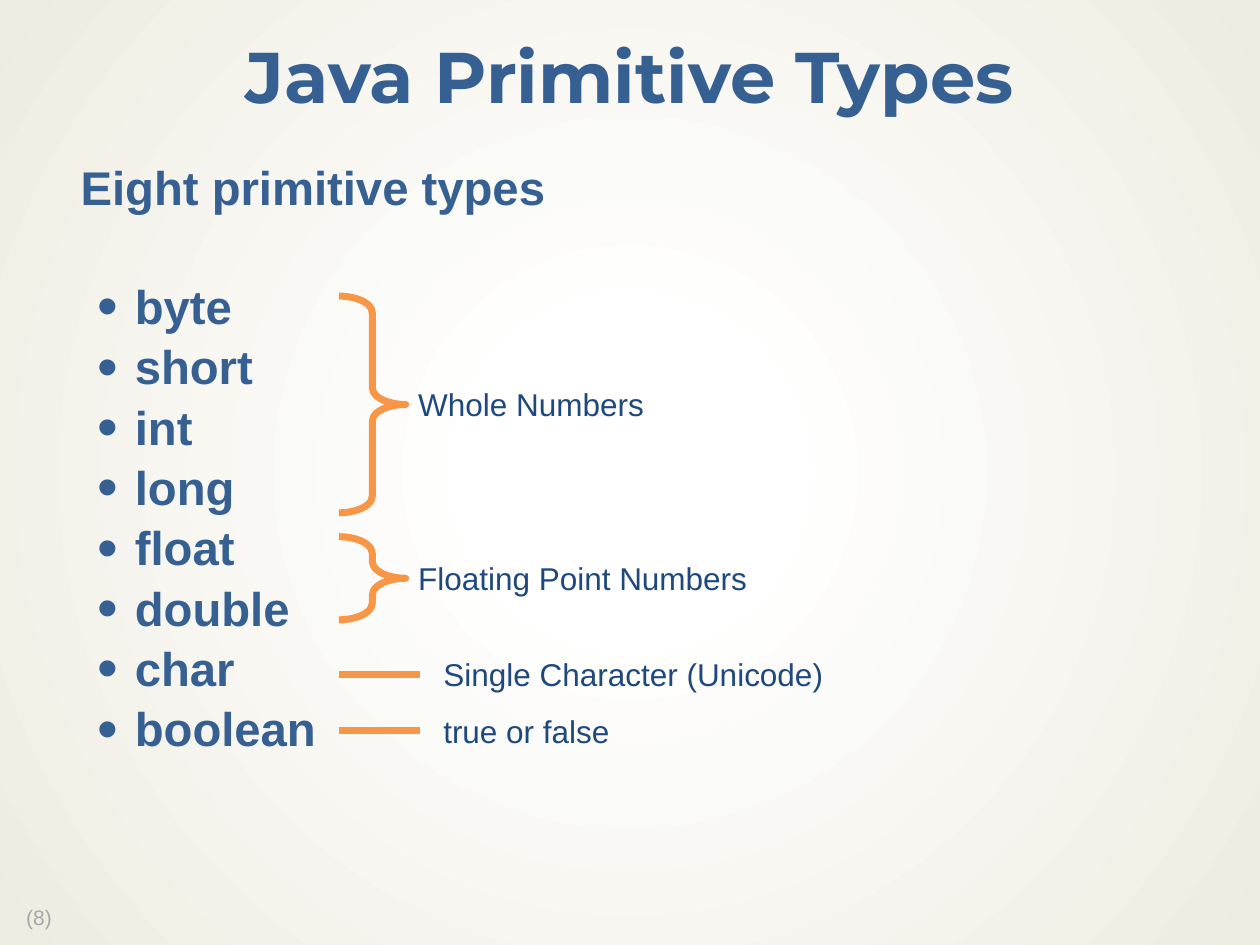
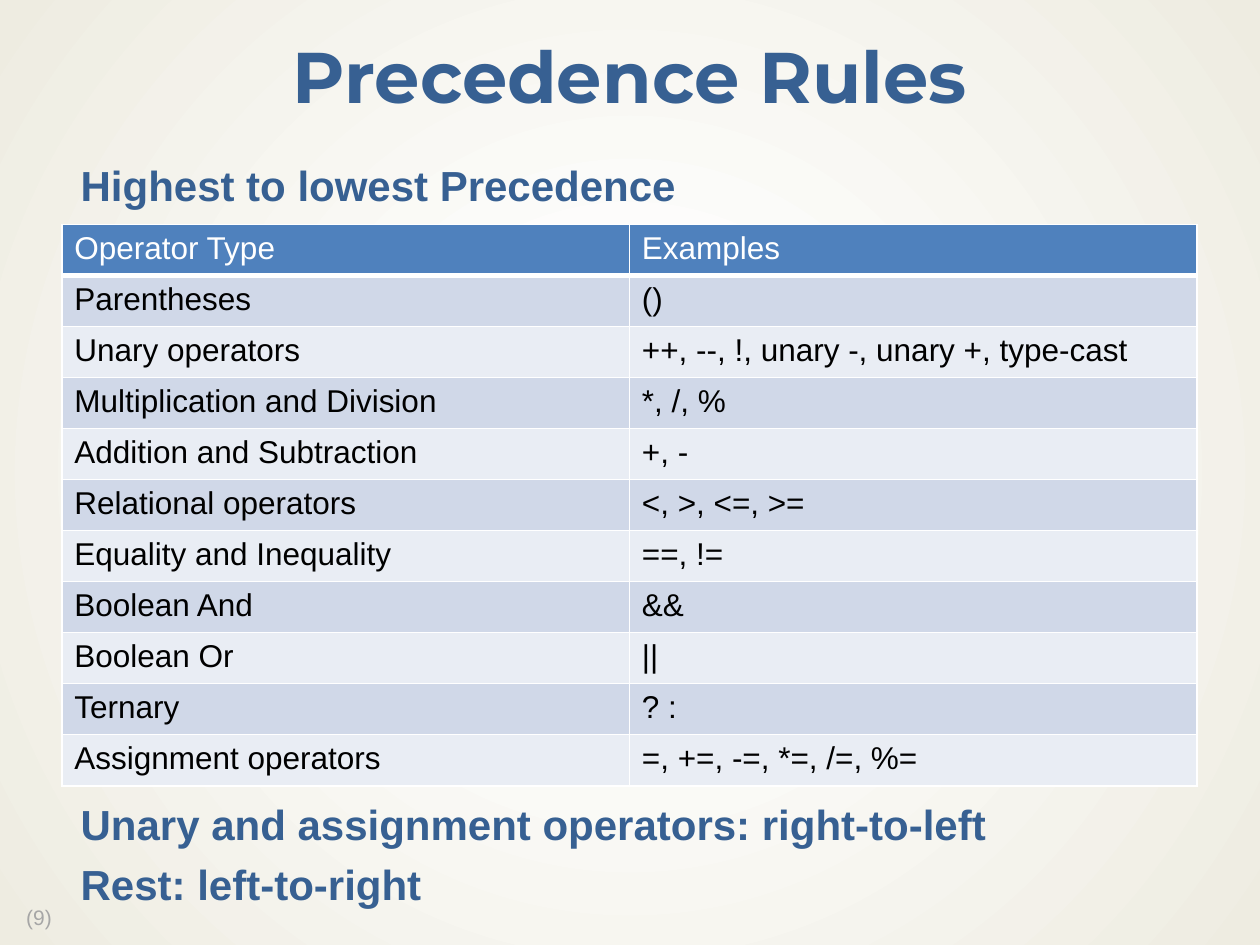
from lxml import etree
from pptx import Presentation
from pptx.dml.color import RGBColor
from pptx.enum.shapes import MSO_CONNECTOR, MSO_SHAPE
from pptx.enum.text import MSO_ANCHOR, MSO_AUTO_SIZE, PP_ALIGN
from pptx.oxml import parse_xml
from pptx.oxml.ns import nsdecls, qn
from pptx.util import Inches, Pt

BRACE, LINE = MSO_SHAPE.RIGHT_BRACE, MSO_CONNECTOR.STRAIGHT
TOP, MIDDLE = MSO_ANCHOR.TOP, MSO_ANCHOR.MIDDLE
LEFT, CENTER = PP_ALIGN.LEFT, PP_ALIGN.CENTER
NO_FIT = MSO_AUTO_SIZE.NONE

COLUMNS, ROWS = 100, 75
CELL = Inches(0.1)
TITLE_BOX = (0, 1.7, COLUMNS, 9.4)
BODY_BOX = (3.8, 12.5, 92.5, 56.5)
NUMBER_BOX = (1.1, 71.5, 6, 2.8)
MARKS_BOX = (26.9, 23.5, 39.8, 36.5)
TABLE_BOX = (4.9, 17.8, 90.1, 44.6)

COLORS = {
    "heading": "376092", "label": "1F497D", "mark": "F79646",
    "number": "A6A6A6", "white": "FFFFFF", "edge": "EEECE1",
    "header": "4F81BD", "odd": "D0D8E8", "even": "E9EDF4", "cell": "000000",
}
BODY_FORMAT = {"color": "heading", "bold": True, "line_spacing": 0.9}

PRIMITIVES = ["byte", "short", "int", "long", "float", "double", "char", "boolean"]
BRACES = [("Whole Numbers", 0, 17.2, 20.1), ("Floating Point Numbers", 19.1, 6.6, 28.4)]
DASHES = [("Single Character (Unicode)", 30, 32.5), ("true or false", 34.5, 15.3)]
PRECEDENCE = [
    ("Operator Type", "Examples"),
    ("Parentheses", "()"),
    ("Unary operators", "++, --, !, unary -, unary +, type-cast"),
    ("Multiplication and Division", "*, /, %"),
    ("Addition and Subtraction", "+, -"),
    ("Relational operators", "<, >, <=, >="),
    ("Equality and Inequality", "==, !="),
    ("Boolean And", "&&"),
    ("Boolean Or", "||"),
    ("Ternary", "? :"),
    ("Assignment operators", "=, +=, -=, *=, /=, %="),
]


def grid(*lengths):
    """Turn grid columns or rows into slide lengths."""
    return [round(length * CELL) for length in lengths]


def rgb(name):
    return RGBColor.from_string(COLORS[name])


def write(frame, text, size=18, color="label", font="Arial", bold=False, align=LEFT,
          line_spacing=1.0, before=0, level=0, margin=0, bullet=False):
    """Fill the first paragraph of the frame, or add one after it."""
    paragraph = frame.paragraphs[0]
    if paragraph.runs:
        paragraph = frame.add_paragraph()
    paragraph.level = level
    properties = paragraph._p.get_or_add_pPr()
    properties.set("marL", str(Inches(margin)))
    properties.set("indent", str(Inches(-0.3 if bullet else 0)))
    if bullet:
        etree.SubElement(properties, qn("a:buSzPct"), val="125000")
        etree.SubElement(properties, qn("a:buFont"), typeface="Arial")
        etree.SubElement(properties, qn("a:buChar"), char="•")
    else:
        etree.SubElement(properties, qn("a:buNone"))
    paragraph.alignment = align
    paragraph.line_spacing = line_spacing
    paragraph.space_before = Pt(before)
    run = paragraph.add_run()
    run.text = text
    run.font.name, run.font.size, run.font.bold = font, Pt(size), bold
    run.font.color.rgb = rgb(color)


def set_frame(frame, anchor, horizontal, vertical):
    frame.auto_size = NO_FIT
    frame.vertical_anchor = anchor
    frame.margin_left = frame.margin_right = Inches(horizontal)
    frame.margin_top = frame.margin_bottom = Inches(vertical)


def add_text(slide, box, text, **text_format):
    frame = slide.shapes.add_textbox(*grid(*box)).text_frame
    frame.word_wrap = False
    write(frame, text, **text_format)


def set_background(master):
    """Give every slide a soft radial glow."""
    master.background.fill.gradient()
    gradient = master.element.find(".//" + qn("a:gradFill"))
    gradient.getparent().replace(gradient, parse_xml(
        f'<a:gradFill {nsdecls("a")} rotWithShape="1"><a:gsLst>'
        f'<a:gs pos="18000"><a:srgbClr val="{COLORS["white"]}">'
        '<a:alpha val="53000"/></a:srgbClr></a:gs>'
        f'<a:gs pos="100000"><a:srgbClr val="{COLORS["edge"]}"/></a:gs></a:gsLst>'
        '<a:path path="circle"><a:fillToRect l="50000" t="50000" r="50000" b="50000"/>'
        '</a:path></a:gradFill>'))


def add_slide(presentation, title, number):
    """Add a slide with its title and number; return it with its body frame."""
    slide = presentation.slides.add_slide(presentation.slide_layouts[1])
    heading, body = slide.placeholders
    for placeholder, box in ((heading, TITLE_BOX), (body, BODY_BOX)):
        (placeholder.left, placeholder.top,
         placeholder.width, placeholder.height) = grid(*box)
    set_frame(heading.text_frame, MIDDLE, 0.13, 0.06)
    set_frame(body.text_frame, TOP, 0.12, 0.06)
    write(heading.text_frame, title, size=41, color="heading", font="Montserrat",
          bold=True, align=CENTER, line_spacing=0.9)
    add_text(slide, NUMBER_BOX, f"({number})", size=12, color="number", line_spacing=0.9)
    return slide, body.text_frame


def style_mark(line):
    line.color.rgb = rgb("mark")
    line.width = Pt(4)


def add_type_marks(slide, box):
    """Mark the families of types with braces and dashes, each with a label."""
    left, top, _, _ = box
    brace_width, dash_width, label_left, label_height = 5.3, 6.4, 7.3, 4
    for text, offset, height, width in BRACES:
        brace = slide.shapes.add_shape(
            BRACE, *grid(left, top + offset, brace_width, height))
        brace.shadow.inherit = False
        brace.fill.background()
        brace.adjustments[0] = 0.25
        style_mark(brace.line)
        label_top = top + offset + (height - label_height) / 2
        add_text(slide, (left + brace_width, label_top, width, label_height), text)
    for text, offset, width in DASHES:
        middle = top + offset
        dash = slide.shapes.add_connector(
            LINE, *grid(left, middle, left + dash_width, middle))
        etree.SubElement(dash._element.spPr, qn("a:effectLst"))
        style_mark(dash.line)
        add_text(slide, (left + label_left, middle - label_height / 2, width,
                         label_height), text)


def add_borders(cell, bottom_width):
    properties = cell._tc.get_or_add_tcPr()
    for side, width in (("L", 1), ("R", 1), ("T", 1), ("B", bottom_width)):
        line = etree.SubElement(properties, qn(f"a:ln{side}"), w=str(Pt(width)))
        fill = etree.SubElement(line, qn("a:solidFill"))
        etree.SubElement(fill, qn("a:srgbClr"), val=COLORS["white"])


def add_precedence_table(slide, box):
    table = slide.shapes.add_table(len(PRECEDENCE), 2, *grid(*box)).table
    for row_index, texts in enumerate(PRECEDENCE):
        is_header = row_index == 0
        fill = "header" if is_header else ("even", "odd")[row_index % 2]
        for column_index, text in enumerate(texts):
            cell = table.cell(row_index, column_index)
            add_borders(cell, 3 if is_header else 1)
            cell.fill.solid()
            cell.fill.fore_color.rgb = rgb(fill)
            write(cell.text_frame, text, color="white" if is_header else "cell")


def build_types_slide(presentation):
    slide, body = add_slide(presentation, "Java Primitive Types", 8)
    write(body, "Eight primitive types", size=27, margin=0.14, **BODY_FORMAT)
    for index, name in enumerate(PRIMITIVES):
        write(body, name, size=27, level=1, margin=0.57, bullet=True,
              before=5.3 if index else 38.5, **BODY_FORMAT)
    add_type_marks(slide, MARKS_BOX)


def build_precedence_slide(presentation):
    slide, body = add_slide(presentation, "Precedence Rules", 9)
    for text, before in (("Highest to lowest Precedence", 0),
                         ("Unary and assignment operators: right-to-left", 339.5),
                         ("Rest: left-to-right", 8.3)):
        write(body, text, size=24, margin=0.14, before=before, **BODY_FORMAT)
    add_precedence_table(slide, TABLE_BOX)


def main():
    presentation = Presentation()
    presentation.slide_width, presentation.slide_height = grid(COLUMNS, ROWS)
    set_background(presentation.slide_master)
    build_types_slide(presentation)
    build_precedence_slide(presentation)
    presentation.save("out.pptx")


if __name__ == "__main__":
    main()
